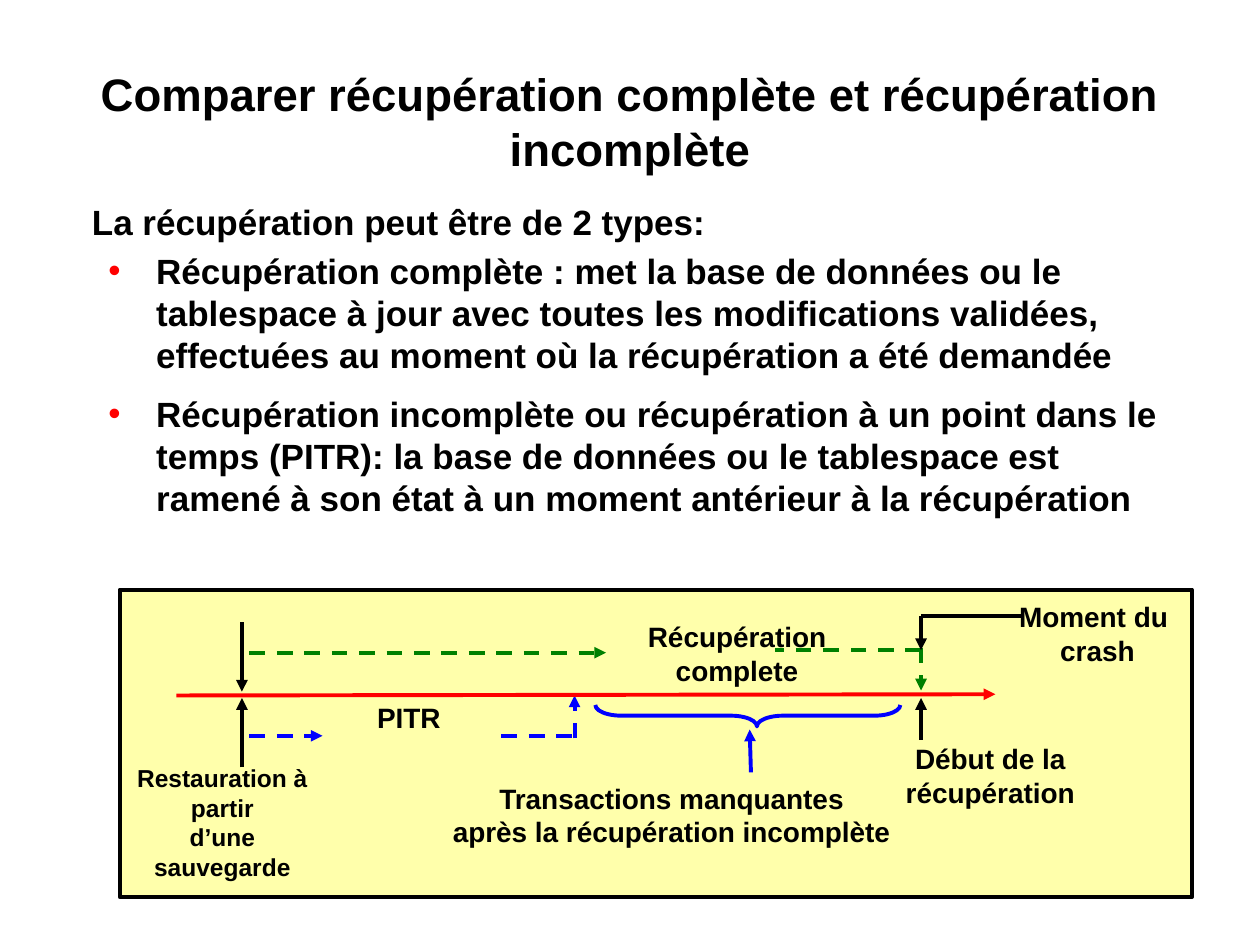
from lxml import etree
from pptx import Presentation
from pptx.dml.color import RGBColor
from pptx.enum.dml import MSO_LINE
from pptx.enum.shapes import MSO_CONNECTOR, MSO_SHAPE
from pptx.enum.text import MSO_ANCHOR, PP_ALIGN
from pptx.oxml.ns import qn
from pptx.util import Inches, Pt

STRAIGHT = MSO_CONNECTOR.STRAIGHT
RECTANGLE, BRACE = MSO_SHAPE.RECTANGLE, MSO_SHAPE.LEFT_BRACE
DASH = MSO_LINE.DASH
CENTER, LEFT = PP_ALIGN.CENTER, PP_ALIGN.LEFT
TOP, MIDDLE = MSO_ANCHOR.TOP, MSO_ANCHOR.MIDDLE

COLORS = {"black": "000000", "red": "FF0000", "green": "008000",
          "blue": "0000FF", "panel": "FFFFAB"}
COLS, ROWS = 100, 75
CELL = Inches(10) // COLS
LINE_WIDTH = Pt(2.25)
TIGHT = Inches(0.01)


def cells(*counts):
    return [round(n * CELL) for n in counts]


def rgb(name):
    return RGBColor.from_string(COLORS[name])


def add_text(s, box, paragraphs, size, align=CENTER, anchor=TOP, wrap=True, margin=None):
    tf = s.shapes.add_textbox(*cells(*box)).text_frame
    tf.word_wrap = wrap
    tf.vertical_anchor = anchor
    if margin is not None:
        for side in ("left", "top", "right", "bottom"):
            setattr(tf, f"margin_{side}", margin)
    for i, text in enumerate(paragraphs):
        p = tf.paragraphs[0] if i == 0 else tf.add_paragraph()
        p.text = text
        p.alignment = align
        for r in p.runs:
            for name, value in {"name": "Arial", "size": Pt(size), "bold": True}.items():
                setattr(r.font, name, value)
            r.font.color.rgb = rgb("black")
    return tf


def add_bullet(p, indent, hanging):
    pPr = p._p.get_or_add_pPr()
    pPr.set("marL", str(Inches(indent)))
    pPr.set("indent", str(-Inches(hanging)))
    color = etree.SubElement(pPr, qn("a:buClr"))
    etree.SubElement(color, qn("a:srgbClr"), val=COLORS["red"])
    etree.SubElement(pPr, qn("a:buFont"), typeface="Arial")
    etree.SubElement(pPr, qn("a:buChar"), char="•")


def add_line(s, x1, y1, x2, y2, color, arrow=True, dashed=False):
    c = s.shapes.add_connector(STRAIGHT, *cells(x1, y1, x2, y2))
    c.line.color.rgb = rgb(color)
    c.line.width = LINE_WIDTH
    if dashed:
        c.line.dash_style = DASH
    if arrow:
        etree.SubElement(c.line._get_or_add_ln(), qn("a:tailEnd"), type="triangle")
    etree.SubElement(c._element.spPr, qn("a:effectLst"))


def add_outline(s, kind, box, color):
    sp = s.shapes.add_shape(kind, *cells(*box))
    sp.shadow.inherit = False
    sp.fill.background()
    sp.line.color.rgb = rgb(color)
    sp.line.width = LINE_WIDTH
    return sp


def title(s, box):
    add_text(s, box, ["Comparer récupération complète et récupération incomplète"],
             26, anchor=MIDDLE, margin=TIGHT)


def body(s, box):
    tf = add_text(s, box, [
        "La récupération peut être de 2 types:",
        "Récupération complète : met la base de données ou le tablespace à jour avec "
        "toutes les modifications validées, effectuées au moment où la récupération "
        "a été demandée",
        "Récupération incomplète ou récupération à un point dans le temps (PITR): "
        "la base de données ou le tablespace est ramené à son état à un moment "
        "antérieur à la récupération",
    ], 20, align=LEFT, margin=TIGHT)
    bullets = tf.paragraphs[1:]
    for p in bullets:
        add_bullet(p, 0.51, 0.38)
        p.space_before = Pt(4)
    bullets[0].space_after = Pt(6)


def timeline(s, box):
    left, top, width, height = box
    backup, pitr, crash = 9.7, 36.1, 63.6
    after_backup = backup + 0.6
    complete_row, pitr_row, crash_row = 4.8, 11.6, 2.1

    panel = add_outline(s, RECTANGLE, box, "black")
    panel.fill.solid()
    panel.fill.fore_color.rgb = rgb("panel")

    lines = [
        (pitr, 11.8, pitr, 8.4, "blue", True, True),
        (4.5, 8.4, 69.5, 8.3, "red"),
        (crash, 11.9, crash, 8.6, "black"),
        (crash, 4.6, crash, 8, "green", True, True),
        (crash, complete_row, 52, complete_row, "green", False, True),
        (after_backup, 5, 38.6, 5, "green", True, True),
        (after_backup, pitr_row, 16.1, pitr_row, "blue", True, True),
        (30.3, pitr_row, pitr, pitr_row, "blue", False, True),
        (50.1, 14.5, 50, 11.1, "blue"),
        (backup, 14.1, backup, 8.6, "black"),
        (backup, 2.6, backup, 8.1, "black"),
        (crash, crash_row, 71.7, crash_row, "black", False),
        (crash, crash_row, crash, complete_row, "black"),
    ]
    for x1, y1, x2, y2, *style in lines:
        add_line(s, left + x1, top + y1, left + x2, top + y2, *style)

    brace = add_outline(s, BRACE, (left + 49, top - 2.1, 1.7, 24.2), "blue")
    brace.rotation = 270
    brace.adjustments[0], brace.adjustments[1] = 1.21, 0.53

    labels = [
        (59.8, 11.6, 18.6, 6.4, ["Début de la récupération"], 16, True),
        (38, 1.9, 22, 9.1, ["Récupération complete"], 16, True),
        (19.4, 8.3, 7.1, 3.7, ["PITR"], 16, False),
        (25.2, 14.7, 37.2, 6.4,
         ["Transactions manquantes", "après la récupération incomplète"], 16, False),
        (-0.9, 13.3, 18.1, 10.5, ["Restauration à partir", "d’une sauvegarde"], 14, True),
        (70.3, 0.3, 14.6, 6.4, ["Moment du \vcrash"], 16, False),
    ]
    for x, y, w, h, paragraphs, size, wrap in labels:
        add_text(s, (left + x, top + y, w, h), paragraphs, size, wrap=wrap)


def main():
    prs = Presentation()
    prs.slide_width, prs.slide_height = cells(COLS, ROWS)
    s = prs.slides.add_slide(prs.slide_layouts[6])
    title(s, (6.7, 4.8, 86.6, 9.6))
    body(s, (7.2, 15.8, 86.6, 26))
    timeline(s, (9.5, 46.8, 85.1, 24.4))
    prs.save("out.pptx")


if __name__ == "__main__":
    main()
